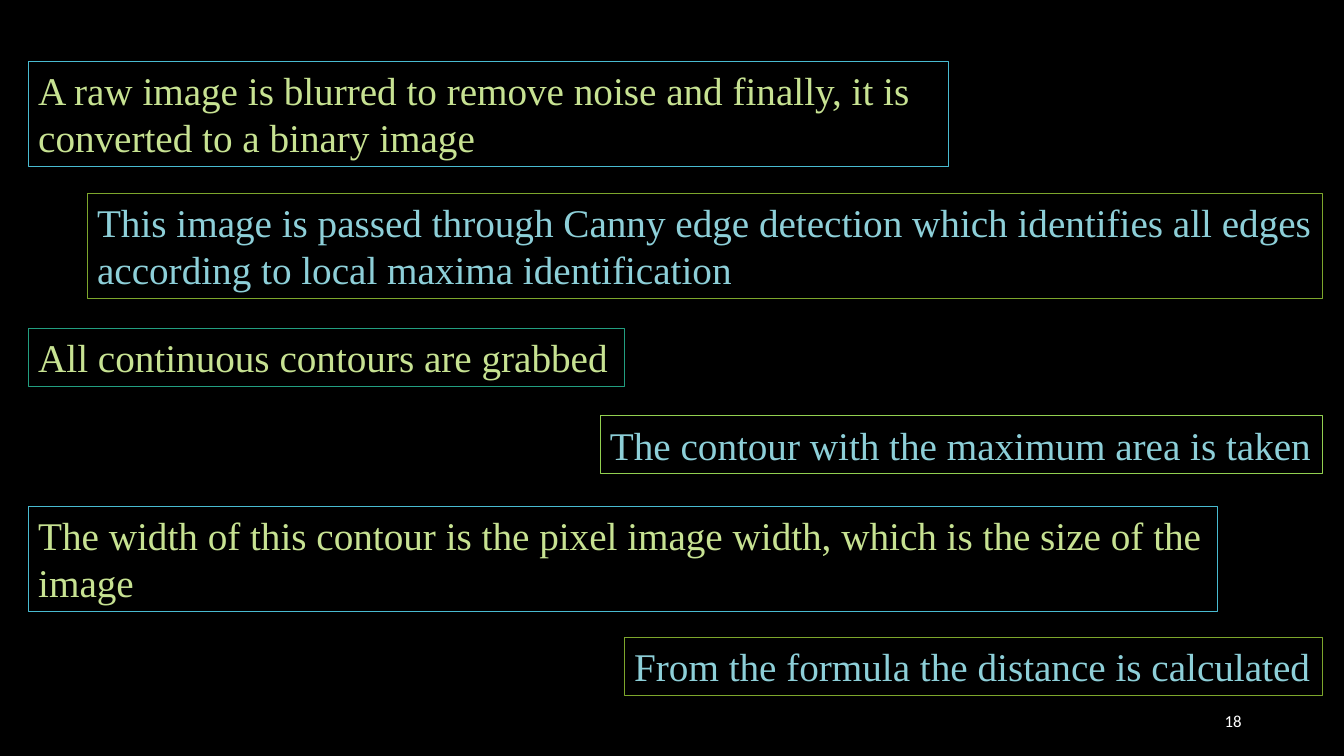
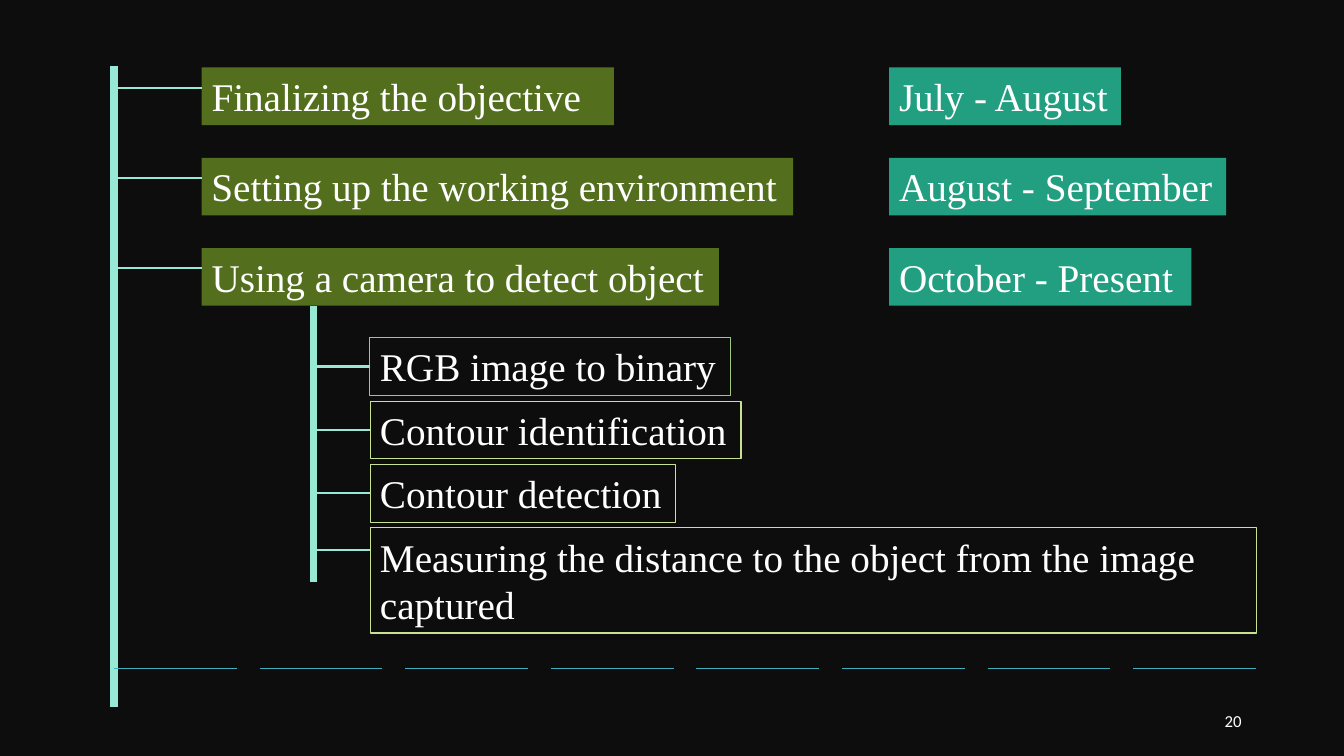
from dataclasses import dataclass

from lxml.etree import SubElement
from pptx import Presentation
from pptx.dml.color import RGBColor
from pptx.enum.shapes import MSO_CONNECTOR
from pptx.enum.text import MSO_ANCHOR, MSO_AUTO_SIZE, PP_ALIGN
from pptx.oxml.ns import qn
from pptx.util import Pt


@dataclass(frozen=True)
class Theme:
    black: str = "000000"
    charcoal: str = "0D0D0D"
    white: str = "FFFFFF"
    lime: str = "C7E292"
    sky: str = "8DCFD8"
    cyan: str = "49BBD1"
    olive: str = "7DA62C"
    leaf: str = "92D050"
    sage: str = "9EC87E"
    moss: str = "536F1D"
    teal: str = "229E80"
    mint: str = "97E9D5"
    lagoon: str = "41AEBD"
    body_font: str = "Times New Roman"
    number_font: str = "Calibri"
    body_size: float = 28
    number_size: float = 12
    frame_width: float = 0.75
    one_line: float = 41.2
    two_lines: float = 75.1


@dataclass(frozen=True)
class Region:
    left: float
    top: float
    width: float
    height: float


THEME = Theme()
PAGE = Region(0, 0, 960, 540)


# Shared parts
def add_page(deck, background, number):
    page = deck.slides.add_slide(deck.slide_layouts[6])
    page.background.fill.solid()
    page.background.fill.fore_color.rgb = RGBColor.from_string(background)
    add_page_number(page, number, Region(678, 500.4, 216, 28.8))
    return page


def add_text(page, text, region, color, font, size, **frame_format):
    box = page.shapes.add_textbox(
        Pt(region.left), Pt(region.top), Pt(region.width), Pt(region.height))
    frame = box.text_frame
    for name, value in {"word_wrap": True, **frame_format}.items():
        setattr(frame, name, value)
    span = frame.paragraphs[0].add_run()
    span.text = text
    for name, value in {"name": font, "size": Pt(size)}.items():
        setattr(span.font, name, value)
    span.font.color.rgb = RGBColor.from_string(color)
    return box


def add_page_number(page, number, region):
    box = add_text(page, str(number), region, THEME.white, THEME.number_font,
                   THEME.number_size, vertical_anchor=MSO_ANCHOR.MIDDLE)
    box.text_frame.paragraphs[0].alignment = PP_ALIGN.RIGHT


def add_label(page, text, region, color, fill=None, line=None):
    box = add_text(page, text, region, color, THEME.body_font, THEME.body_size,
                   auto_size=MSO_AUTO_SIZE.SHAPE_TO_FIT_TEXT)
    if fill:
        box.fill.solid()
        box.fill.fore_color.rgb = RGBColor.from_string(fill)
    if line:
        box.line.color.rgb = RGBColor.from_string(line)
        box.line.width = Pt(THEME.frame_width)
    return box


def add_line(page, start, end, color, width):
    line = page.shapes.add_connector(
        MSO_CONNECTOR.STRAIGHT, *(Pt(value) for value in (*start, *end)))
    line.line.color.rgb = RGBColor.from_string(color)
    line.line.width = Pt(width)
    SubElement(line._element.spPr, qn("a:effectLst"))
    return line


# Steps alternate between the left and the right edge of the region
def add_steps(page, region, steps):
    for index, (text, offset, width, height, line) in enumerate(steps):
        on_right = index % 2 == 1
        left = region.left + (region.width - width if on_right else 0)
        add_label(page, text, Region(left, region.top + offset, width, height),
                  THEME.sky if on_right else THEME.lime, line=line)


# Stages hang from the main trunk, with their months in a second column
def add_stages(page, region, stages):
    add_line(page, (region.left, region.top),
             (region.left, region.top + region.height), THEME.mint, 6)
    stage_left, month_left = region.left + 62.6, region.left + 553.7
    for index, (stage, stage_width, month, month_width) in enumerate(stages):
        top = region.top + 1.4 + index * 64.5
        for text, left, width, fill in (
                (stage, stage_left, stage_width, THEME.moss),
                (month, month_left, month_width, THEME.teal)):
            add_label(page, text, Region(left, top, width, THEME.one_line),
                      THEME.white, fill=fill)
        branch = top + 14.4
        add_line(page, (region.left, branch), (stage_left, branch),
                 THEME.mint, 1.5)


# Tasks hang from a thinner trunk below the last stage
def add_tasks(page, region, tasks):
    add_line(page, (region.left, region.top),
             (region.left, region.top + region.height), THEME.mint, 4.5)
    left = region.left + 40.3
    for index, (text, width, height, line) in enumerate(tasks):
        top = region.top + 22.3 + index * 45.3
        box = add_label(page, text, Region(left, top, width, height),
                        THEME.white, line=line)
        single = height == THEME.one_line
        branch = top + (height / 2 if single else 16)
        twig = add_line(page, (region.left, branch), (left, branch),
                        THEME.mint, 1.5)
        if single:
            twig.end_connect(box, 1)


# Row of equal dashes across the region
def add_dashes(page, region, count, dash):
    pitch = (region.width - dash) / (count - 1)
    for index in range(count):
        left = region.left + index * pitch
        add_line(page, (left, region.top), (left + dash, region.top),
                 THEME.lagoon, 0.5)


def build_method(deck):
    page = add_page(deck, THEME.black, 18)
    one, two = THEME.one_line, THEME.two_lines
    add_steps(page, Region(20.2, 43.9, 924.4, 452), (
        ("A raw image is blurred to remove noise and finally, it is "
         "converted to a binary image", 0, 657.7, two, THEME.cyan),
        ("This image is passed through Canny edge detection which identifies "
         "all edges according to local maxima identification",
         94.3, 882.3, two, THEME.olive),
        ("All continuous contours are grabbed", 190.8, 425.7, one, THEME.teal),
        ("The contour with the maximum area is taken",
         253.2, 516, one, THEME.leaf),
        ("The width of this contour is the pixel image width, which is "
         "the size of the image", 318, 849.8, two, THEME.cyan),
        ("From the formula the distance is calculated",
         411.4, 498.7, one, THEME.olive),
    ))


def build_timeline(deck):
    page = add_page(deck, THEME.charcoal, 20)
    add_stages(page, Region(81.4, 46.8, 815.8, 458), (
        ("Finalizing the objective", 294.5, "July - August", 165.6),
        ("Setting up the working environment", 422.6,
         "August - September", 240.8),
        ("Using a camera to detect object", 369.5, "October - Present", 216),
    ))
    one, two = THEME.one_line, THEME.two_lines
    add_tasks(page, Region(224, 218.9, 673.2, 196.6), (
        ("RGB image to binary", 257.4, one, THEME.sage),
        ("Contour identification", 265, one, THEME.lime),
        ("Contour detection", 218, one, THEME.lime),
        ("Measuring the distance to the object from the image captured",
         633, two, THEME.lime),
    ))
    add_dashes(page, Region(81.4, 477.4, 815.8, 0), count=8, dash=87.8)


def main():
    deck = Presentation()
    deck.slide_width, deck.slide_height = Pt(PAGE.width), Pt(PAGE.height)
    build_method(deck)
    build_timeline(deck)
    deck.save("out.pptx")


if __name__ == "__main__":
    main()
